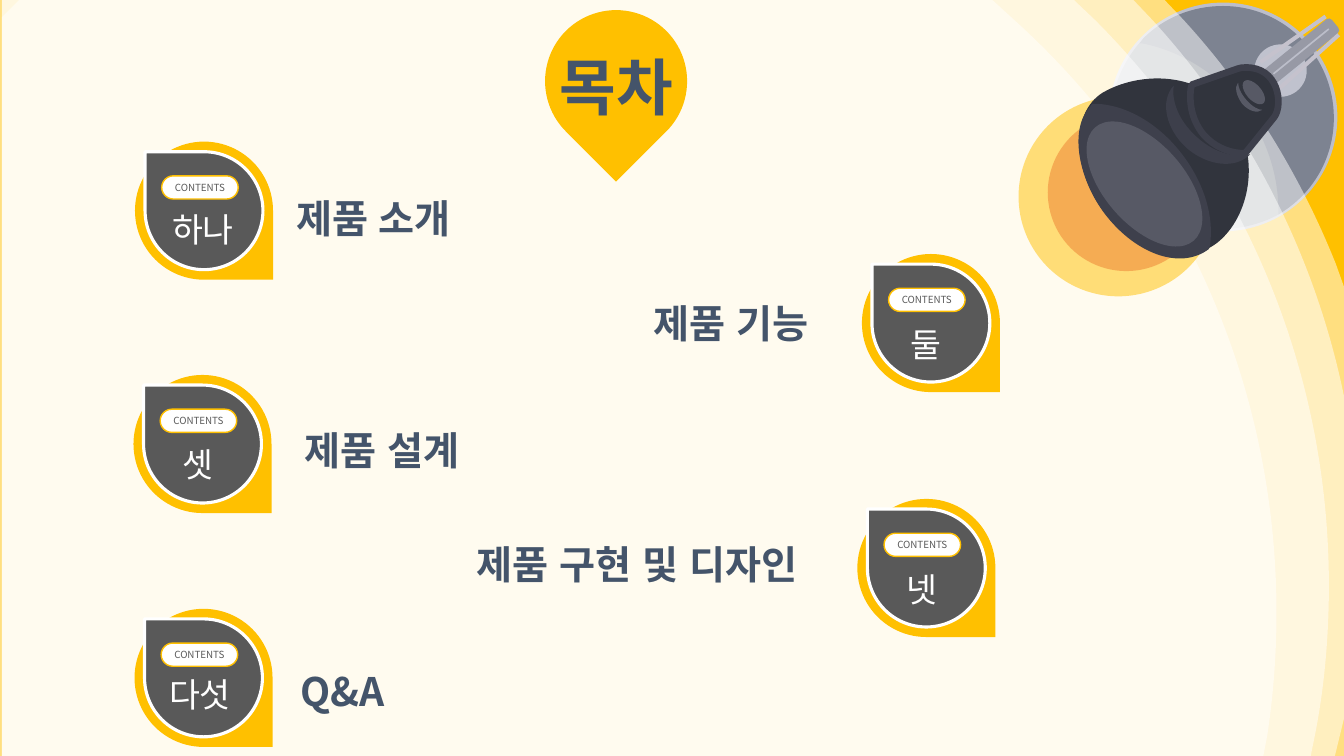
import pptx
import pptx.util
import pptx.dml.color
import pptx.enum.lang
import pptx.enum.shapes
import pptx.enum.text
import pptx.oxml.ns
from lxml import etree

RGBColor = pptx.dml.color.RGBColor
SHAPE = pptx.enum.shapes.MSO_SHAPE
ALIGN = pptx.enum.text.PP_ALIGN
ANCHOR = pptx.enum.text.MSO_ANCHOR
AUTO = pptx.enum.text.MSO_AUTO_SIZE
KOREAN = pptx.enum.lang.MSO_LANGUAGE_ID.KOREAN
Pt = pptx.util.Pt
qn = pptx.oxml.ns.qn

FONT = "Noto Sans CJK KR"
AMBER = RGBColor(0xFF, 0xC0, 0x00)
ORANGE = RGBColor(0xED, 0x7D, 0x31)
WHITE = RGBColor(0xFF, 0xFF, 0xFF)
NAVY = RGBColor(0x44, 0x54, 0x6A)
GRAY = RGBColor(0x59, 0x59, 0x59)
SLATE = RGBColor(0x7D, 0x83, 0x91)
MIST = RGBColor(0x96, 0x9B, 0xA1)
SILVER = RGBColor(0xBC, 0xBE, 0xCA)
KNOB = RGBColor(0xC0, 0xC2, 0xCE)
EDGE = RGBColor(0x97, 0x99, 0xA5)
SHINE = RGBColor(0xC5, 0xC2, 0xCD)
COAL = RGBColor(0x31, 0x34, 0x3D)
RIM = RGBColor(0x3E, 0x40, 0x4C)
TRIM = RGBColor(0x3D, 0x3F, 0x4B)
LENS = RGBColor(0x57, 0x59, 0x65)

# The slide is a grid of 1334 columns by 750 rows
CELL = pptx.util.Inches(0.01)
COLS, ROWS = 1334, 750

prs = pptx.Presentation()
prs.slide_width, prs.slide_height = COLS * CELL, ROWS * CELL
s = prs.slides.add_slide(prs.slide_layouts[5])
s.background.fill.solid()
s.background.fill.fore_color.rgb = AMBER


def add(geometry, box, fill, line=None, width=0, alpha=None, rot=0):
    """Add a preset shape in a grid box, or an outline when geometry is a list.

    In an outline two numbers are a corner and six are a Bezier curve.
    """
    if isinstance(geometry, list):
        ends = [(step[-2] * CELL, step[-1] * CELL) for step in geometry]
        builder = s.shapes.build_freeform(*ends[0], scale=1.0)
        builder.add_line_segments(ends[1:], close=True)
        sp = builder.convert_to_shape()
        segments = list(sp.element.iter(qn("a:lnTo")))
        for step, segment in zip(geometry[1:], segments):
            if len(step) == 6:
                curve = etree.Element(qn("a:cubicBezTo"))
                for x, y in zip(step[::2], step[1::2]):
                    pt = etree.SubElement(curve, qn("a:pt"))
                    pt.set("x", str(x * CELL - sp.left))
                    pt.set("y", str(y * CELL - sp.top))
                segment.getparent().replace(segment, curve)
    else:
        sp = s.shapes.add_shape(geometry, *(round(v * CELL) for v in box))
    sp.shadow.inherit = False
    sp.rotation = rot
    sp.fill.solid()
    sp.fill.fore_color.rgb = fill
    if alpha:
        color = sp.element.spPr.find(qn("a:solidFill")).find(qn("a:srgbClr"))
        etree.SubElement(color, qn("a:alpha")).set("val", str(alpha * 1000))
    if line is None:
        sp.line.fill.background()
    else:
        sp.line.color.rgb = line
        sp.line.width = Pt(width)
    return sp


def write(sp, text, size, color, bold=False, align=ALIGN.LEFT, **frame):
    tf = sp.text_frame
    settings = {"word_wrap": True, "auto_size": AUTO.NONE, "vertical_anchor": ANCHOR.TOP}
    for name, value in {**settings, **frame}.items():
        setattr(tf, name, value)
    p = tf.paragraphs[0]
    p.alignment = align
    r = p.add_run()
    r.text = text
    r.font.color.rgb = color
    look = {"name": FONT, "size": Pt(size), "bold": bold, "language_id": KOREAN}
    for name, value in look.items():
        setattr(r.font, name, value)
    for rPr in sp.element.iter(qn("a:rPr")):
        etree.SubElement(rPr, qn("a:ea")).set("typeface", FONT)


# Lamp mount and stem
add(SHAPE.OVAL, (1103, 5, 222, 222), SLATE, SILVER, 3.5)
add([(1132, 42), (1134, 43), (1212, 58, 1270, 127, 1270, 209), (1270, 212), (1267, 214),
     (1251, 222, 1233, 227, 1214, 227), (1153, 227, 1103, 177, 1103, 116),
     (1103, 89, 1113, 65, 1129, 45)], None, MIST)
add([(1214, 6), (1275, 6, 1324, 56, 1324, 117), (1324, 155, 1305, 189, 1275, 209),
     (1269, 213), (1269, 210), (1269, 128, 1211, 59, 1134, 43), (1131, 43), (1135, 38),
     (1155, 18, 1183, 6, 1214, 6)], None, SLATE)
add(SHAPE.OVAL, (1245, 44, 52, 52), KNOB)
add(SHAPE.RECTANGLE, (1252, 46, 79, 10), SILVER, EDGE, 5.75, rot=321)
add(SHAPE.RECTANGLE, (1244, 37, 79, 4), SHINE, rot=324.9)
add(SHAPE.RECTANGLE, (1260, 59, 79, 4), SHINE, rot=317.9)

# Bands of light, widest first
bands = [
    [(19, 0), (1156, 0), (1175, 20), (1239, 90, 1290, 172, 1326, 262),
     (1336, 290), (1336, ROWS), (2, ROWS), (2, 17)],
    [(2, 0), (1125, 0), (1144, 20), (1240, 125, 1308, 257, 1336, 403),
     (1336, 702), (1334, 713), (1325, ROWS), (2, ROWS)],
    [(-3, 0), (1066, 0), (1087, 20), (1230, 163, 1319, 361, 1319, 581),
     (1319, 635, 1314, 689, 1303, 740), (1301, ROWS), (-3, ROWS)],
    [(2, 0), (985, 0), (1008, 21), (1168, 166, 1267, 375, 1267, 608),
     (1267, 649, 1264, 689, 1258, 729), (1254, ROWS), (2, ROWS)],
]
for band in bands:
    add(band, None, WHITE, alpha=50)

# Glow and lamp head
add(SHAPE.OVAL, (1011, 96, 198, 198), AMBER, alpha=50)
add(SHAPE.OVAL, (1040, 113, 156, 156), ORANGE, alpha=50)
add([(1094, 208), (1064, 166, 1062, 108, 1098, 90), (1134, 71, 1192, 71, 1222, 113),
     (1252, 155, 1241, 215, 1208, 241), (1175, 266, 1124, 250, 1094, 208)], None, COAL)
add([(1088, 103), (1117, 104, 1150, 122, 1174, 154), (1196, 183, 1205, 216, 1201, 243),
     (1200, 247), (1171, 269, 1125, 251, 1095, 210), (1069, 174, 1062, 127, 1082, 106),
     (1084, 103)], None, RIM)
add([(1236, 67), (1269, 66, 1274, 103, 1265, 116), (1236, 152), (1232, 152),
     (1218, 151, 1205, 145, 1195, 134), (1184, 121, 1180, 104, 1182, 88), (1183, 84),
     (1229, 68), (1231, 67, 1234, 67, 1236, 67)], None, COAL, TRIM, 4.75)
add(SHAPE.OVAL, (1096, 108, 80, 149), LENS, rot=319)
add(SHAPE.OVAL, (1237, 77, 15, 29), LENS, rot=319)
add([(1229, 82), (1229, 86, 1231, 92, 1237, 99), (1243, 106, 1249, 109, 1253, 109),
     (1248, 113, 1239, 110, 1233, 103), (1227, 95, 1225, 86, 1229, 82)], None, LENS)
add([(1165, 85), (1163, 98, 1168, 118, 1188, 136), (1208, 154, 1228, 156, 1241, 153),
     (1227, 168, 1199, 165, 1178, 147), (1157, 128, 1151, 100, 1165, 85)], None, TRIM)

# Contents: badge corner, number and its box, label and its box
entries = [
    ((134, 140.5), "하나", (161, 202, 81, 50), "제품 소개", (284, 188, 319, 57)),
    ((855.5, 252), "둘", (894, 316, 50, 50), "제품 기능", (639, 292, 319, 57)),
    ((132.5, 372), "셋", (171, 435, 50, 50), "제품 설계", (292, 418, 319, 57)),
    ((851, 495), "넷", (890, 559, 50, 50), "제품 구현 및 디자인", (463, 531, 398, 57)),
    ((133.5, 604), "다섯", (158, 664, 81, 50), "Q&A", (288, 657, 319, 57)),
]
for (x, y), number, number_box, label, label_box in entries:
    add(SHAPE.TEAR, (x, y, 137, 137), AMBER, rot=90)
    add(SHAPE.TEAR, (x + 10, y + 10, 117, 117), GRAY, WHITE, 2.25, rot=270)
    pill = add(SHAPE.ROUNDED_RECTANGLE, (x + 26.5, y + 34, 76, 23), WHITE, AMBER, 1)
    pill.adjustments[0] = 0.5
    write(pill, "CONTENTS", 7, GRAY, align=ALIGN.CENTER, word_wrap=False,
          vertical_anchor=ANCHOR.MIDDLE)
    sp = s.shapes.add_textbox(*(v * CELL for v in number_box))
    write(sp, number, 24, WHITE, align=ALIGN.CENTER, word_wrap=False,
          auto_size=AUTO.SHAPE_TO_FIT_TEXT)
    sp = s.shapes.add_textbox(*(v * CELL for v in label_box))
    write(sp, label, 28, NAVY, bold=True, auto_size=AUTO.SHAPE_TO_FIT_TEXT)

# Title in its drop, brought to the front
add(SHAPE.TEAR, (541, 10, 141, 141), AMBER, rot=135)
title = s.shapes.title
for name, value in zip(("left", "top", "width", "height"), (524, 44, 176, 84)):
    setattr(title, name, value * CELL)
write(title, "목차", 44, NAVY, bold=True, align=ALIGN.CENTER)
s.shapes.element.append(title.element)

prs.save("out.pptx")
